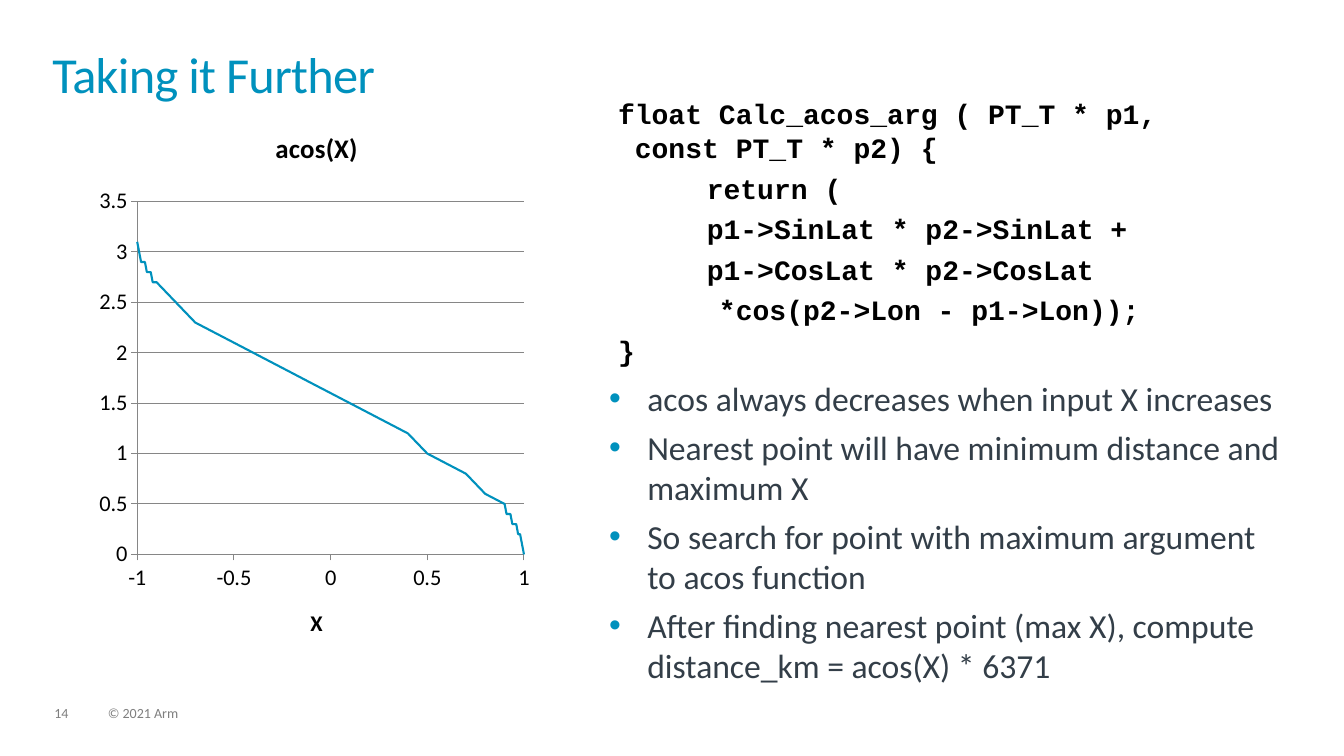
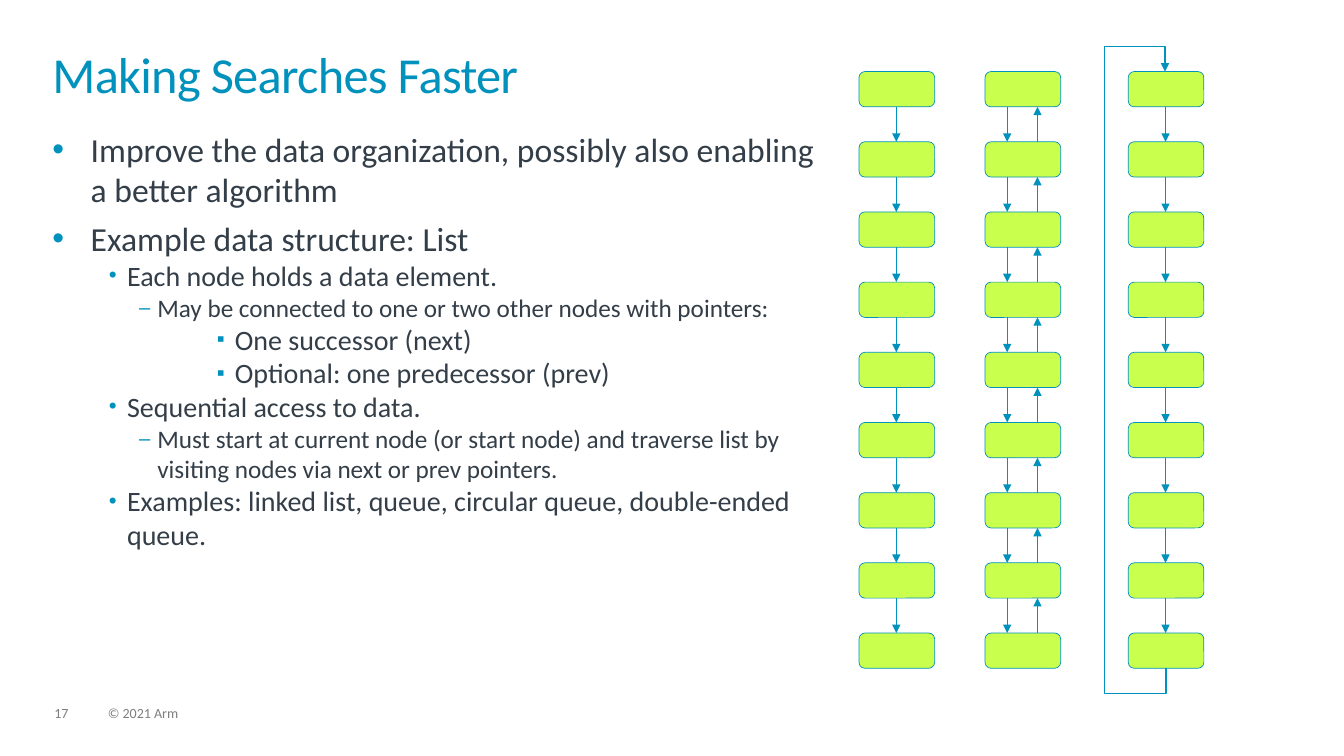
from itertools import pairwise
from math import acos
from typing import NamedTuple, Optional

from lxml.etree import SubElement
from pptx import Presentation
from pptx.chart.data import XyChartData
from pptx.dml.color import RGBColor
from pptx.enum.chart import XL_AXIS_CROSSES, XL_CHART_TYPE, XL_TICK_MARK
from pptx.enum.shapes import MSO_CONNECTOR, MSO_SHAPE
from pptx.enum.text import MSO_ANCHOR, MSO_AUTO_SIZE, PP_ALIGN
from pptx.oxml.ns import qn
from pptx.util import Inches, Pt

HUES = {
    "blue": "0091BD", "lime": "C9FF4D", "slate": "333E48",
    "gray": "7F7F7F", "grid": "868686", "black": "000000",
}
FONT, MONO = "Calibri", "Courier New"


class Box(NamedTuple):
    left: float
    top: float
    width: float
    height: float


class Level(NamedTuple):
    indent: float
    hang: float
    mark: str
    size: int
    before: int = 0
    scale: int = 80


class Item(NamedTuple):
    text: str
    level: int = 0


class Chain(NamedTuple):
    """A column of list nodes; next and prev are arrow offsets from its left."""
    left: float
    next: float
    prev: Optional[float] = None
    ring: bool = False


LEVELS = {
    0: Level(0.38, 0.38, "•", 24, before=6, scale=100),
    1: Level(0.74, 0.18, "•", 20),
    2: Level(1.04, 0.18, "–", 18),
    5: Level(1.81, 0.18, "▪", 20),
}

FACTS = [
    Item("acos always decreases when input X increases"),
    Item("Nearest point will have minimum distance and maximum X"),
    Item("So search for point with maximum argument to acos function"),
    Item("After finding nearest point (max X), compute distance_km = acos(X) * 6371"),
]
CODE = [
    "float Calc_acos_arg ( PT_T * p1,\v const PT_T * p2) {",
    "\treturn (",
    "\tp1->SinLat * p2->SinLat +",
    "\tp1->CosLat * p2->CosLat",
    "      *cos(p2->Lon - p1->Lon));",
    "}",
]
IDEAS = [
    Item("Improve the data organization, possibly also enabling a better algorithm"),
    Item("Example data structure: List"),
    Item("Each node holds a data element.", 1),
    Item("May be connected to one or two other nodes with pointers:", 2),
    Item("One successor (next)", 5),
    Item("Optional: one predecessor (prev)", 5),
    Item("Sequential access to data.", 1),
    Item("Must start at current node (or start node) and traverse list by "
         "visiting nodes via next or prev pointers.", 2),
    Item("Examples: linked list, queue, circular queue, double-ended queue.", 1),
]

NODE_W, NODE_H = 0.75, 0.35
FIRST, LAST, COUNT = 0.71, 6.28, 9
CHAINS = [
    Chain(8.52, 0.37),
    Chain(9.77, 0.22, prev=0.52),
    Chain(11.19, 0.37, ring=True),
]


def hue(name: str) -> RGBColor:
    return RGBColor.from_string(HUES[name])


def style(font, size: float, color: str, face: str = FONT, bold: bool = False) -> None:
    font.name, font.size, font.bold = face, Pt(size), bold
    font.color.rgb = hue(color)


def place(shape, box: Box) -> None:
    shape.left, shape.top, shape.width, shape.height = map(Inches, box)


def frame(shape, pad_x: float = 0, pad_y: float = 0):
    """Return the text frame, wrapped, anchored at the top and padded."""
    text = shape.text_frame
    text.word_wrap = True
    text.auto_size = MSO_AUTO_SIZE.NONE
    text.vertical_anchor = MSO_ANCHOR.TOP
    text.margin_left = text.margin_right = Inches(pad_x)
    text.margin_top = text.margin_bottom = Inches(pad_y)
    return text


def add_para(text, index: int):
    return text.paragraphs[0] if index == 0 else text.add_paragraph()


def add_label(slide, box: Box, words: str) -> None:
    shape = slide.shapes.add_textbox(*map(Inches, box))
    para = frame(shape).paragraphs[0]
    para.text = words
    para.line_spacing = 0.9
    style(para.font, 10, "gray")


def add_slide(deck, title: str, number: int):
    """Add a slide with the shared title style and footer."""
    slide = deck.slides.add_slide(deck.slide_layouts[1])
    head = slide.shapes.title
    place(head, Box(0.52, 0.52, 12.28, 0.72))
    para = frame(head).paragraphs[0]
    para.text = title
    para.alignment = PP_ALIGN.LEFT
    para.line_spacing = 0.85
    style(para.font, 36, "blue")
    para._p.pPr.find(qn("a:defRPr")).set("spc", "-50")
    add_label(slide, Box(0.54, 7.01, 0.34, 0.15), str(number))
    add_label(slide, Box(1.07, 7.01, 5.07, 0.15), "© 2021 Arm")
    return slide


def add_bullet(para, level: Level) -> None:
    props = para._p.get_or_add_pPr()
    props.set("marL", str(Inches(level.indent)))
    props.set("indent", str(-Inches(level.hang)))
    tint = SubElement(props, qn("a:buClr"))
    SubElement(tint, qn("a:srgbClr"), val=HUES["blue"])
    SubElement(props, qn("a:buSzPct"), val=str(level.scale * 1000))
    SubElement(props, qn("a:buFont"), typeface="Arial")
    SubElement(props, qn("a:buChar"), char=level.mark)


def fill_body(slide, box: Box, items: list[Item]) -> None:
    body = slide.placeholders[1]
    place(body, box)
    text = frame(body)
    for i, item in enumerate(items):
        level = LEVELS[item.level]
        para = add_para(text, i)
        para.text, para.level = item.text, item.level
        add_bullet(para, level)
        para.space_before = Pt(level.before if i else 0)
        style(para.font, level.size, "slate")


def add_code(slide, box: Box, lines: list[str]) -> None:
    text = frame(slide.shapes.add_textbox(*map(Inches, box)), 0.09, 0.04)
    for i, line in enumerate(lines):
        para = add_para(text, i)
        para.text = line
        tabs = SubElement(para._p.get_or_add_pPr(), qn("a:tabLst"))
        SubElement(tabs, qn("a:tab"), pos=str(Inches(0.88)), algn="l")
        para.line_spacing = Pt(24)
        para.space_before = Pt(5 if i else 0)
        style(para.font, 20, "black", MONO, bold=True)


def set_layout(part, inner: bool = False, **sides: float) -> None:
    """Fix a chart part at fractions (x, y, w, h) of the chart area."""
    layout = part.find(qn("c:layout"))
    if layout is None:
        layout = part.makeelement(qn("c:layout"))
        part.insert(len(part.findall(qn("c:tx"))), layout)
    manual = SubElement(layout, qn("c:manualLayout"))
    if inner:
        SubElement(manual, qn("c:layoutTarget"), val="inner")
    for side in "xy":
        SubElement(manual, qn(f"c:{side}Mode"), val="edge")
    for side, value in sides.items():
        SubElement(manual, qn(f"c:{side}"), val=str(value))


def set_title(owner, words: str, size: float):
    """Title a chart or an axis and return the title's element."""
    owner.has_title = True
    title = owner.chart_title if hasattr(owner, "chart_title") else owner.axis_title
    para = title.text_frame.paragraphs[0]
    para.text = words
    style(para.font, size, "black", bold=True)
    return title._element


def set_axis(axis, low: float, high: float, grid: bool) -> None:
    axis.minimum_scale, axis.maximum_scale, axis.major_unit = low, high, 0.5
    axis.has_major_gridlines = grid
    axis.major_tick_mark = XL_TICK_MARK.OUTSIDE
    axis.minor_tick_mark = XL_TICK_MARK.NONE
    axis.crosses = XL_AXIS_CROSSES.MINIMUM
    axis.tick_labels.number_format = "General"
    axis.tick_labels.number_format_is_linked = False
    lines = [axis.format.line]
    if grid:
        lines.append(axis.major_gridlines.format.line)
    for line in lines:
        line.color.rgb, line.width = hue("grid"), Pt(0.75)


def add_curve(slide, box: Box) -> None:
    data = XyChartData()
    series = data.add_series("acos(X)")
    for step in [*range(-100, -90), *range(-90, 90, 10), *range(90, 101)]:
        series.add_data_point(step / 100, round(acos(step / 100), 1))
    chart = slide.shapes.add_chart(
        XL_CHART_TYPE.XY_SCATTER_SMOOTH_NO_MARKERS, *map(Inches, box), data).chart
    style(chart.font, 16, "black")
    chart.has_legend = False
    plot = chart.plots[0]
    plot.vary_by_categories = False
    curve = plot.series[0]
    curve.smooth = True
    curve.format.line.color.rgb = hue("blue")
    curve.format.line.width = Pt(1.5)
    set_axis(chart.category_axis, -1, 1, grid=False)
    set_axis(chart.value_axis, 0, 3.5, grid=True)
    set_layout(set_title(chart, "acos(X)", 19.2), x=0.4, y=0.03)
    set_layout(set_title(chart.category_axis, "X", 16), x=0.48, y=0.9)
    area = chart._chartSpace.find(".//" + qn("c:plotArea"))
    set_layout(area, inner=True, x=0.1, y=0.17, w=0.87, h=0.64)


def add_link(slide, start: tuple, end: tuple, kind=MSO_CONNECTOR.STRAIGHT):
    link = slide.shapes.add_connector(kind, *map(Inches, (*start, *end)))
    link.line.color.rgb, link.line.width = hue("blue"), Pt(1)
    SubElement(link.line._get_or_add_ln(), qn("a:tailEnd"), type="triangle")
    SubElement(link._element.spPr, qn("a:effectLst"))
    return link


def add_ring(slide, x: float) -> None:
    """Link the last node back to the first, around the left of the chain."""
    span, thin, out, side = LAST + NODE_H - FIRST, 0.01, 0.25, 0.62
    mid = FIRST + span / 2
    link = add_link(slide, (x - span / 2, mid - thin / 2),
                    (x + span / 2, mid + thin / 2), MSO_CONNECTOR.ELBOW)
    props = link._element.spPr
    turn = props.find(qn("a:xfrm"))
    turn.set("rot", str(90 * 60000))
    turn.set("flipH", "1")
    shape = props.find(qn("a:prstGeom"))
    shape.set("prst", "bentConnector5")
    bends = shape.find(qn("a:avLst"))
    if bends is None:
        bends = SubElement(shape, qn("a:avLst"))
    for i, ratio in enumerate([-out / span, side / thin, 1 + out / span], 1):
        SubElement(bends, qn("a:gd"), name=f"adj{i}", fmla=f"val {round(ratio * 100000)}")


def add_node(slide, left: float, top: float) -> None:
    node = slide.shapes.add_shape(
        MSO_SHAPE.ROUNDED_RECTANGLE, *map(Inches, (left, top, NODE_W, NODE_H)))
    node.shadow.inherit = False
    node.fill.solid()
    node.fill.fore_color.rgb = hue("lime")
    node.line.color.rgb, node.line.width = hue("blue"), Pt(0.5)


def add_chain(slide, chain: Chain) -> None:
    pitch = (LAST - FIRST) / (COUNT - 1)
    tops = [FIRST + i * pitch for i in range(COUNT)]
    for top in tops:
        add_node(slide, chain.left, top)
    down = chain.left + chain.next
    for top, below in pairwise(tops):
        add_link(slide, (down, top + NODE_H), (down, below))
        if chain.prev is not None:
            up = chain.left + chain.prev
            add_link(slide, (up, below), (up, top + NODE_H))
    if chain.ring:
        add_ring(slide, down)


def main() -> None:
    deck = Presentation()
    deck.slide_width, deck.slide_height = Inches(13.33), Inches(7.5)

    further = add_slide(deck, "Taking it Further", 14)
    fill_body(further, Box(6.04, 3.75, 6.77, 2.94), FACTS)
    add_code(further, Box(6.04, 0.92, 5.66, 3.09), CODE)
    add_curve(further, Box(0.92, 1.07, 4.41, 5.47))

    faster = add_slide(deck, "Making Searches Faster", 17)
    fill_body(faster, Box(0.52, 1.28, 7.6, 5.41), IDEAS)
    for chain in CHAINS:
        add_chain(faster, chain)

    deck.save("out.pptx")


if __name__ == "__main__":
    main()
